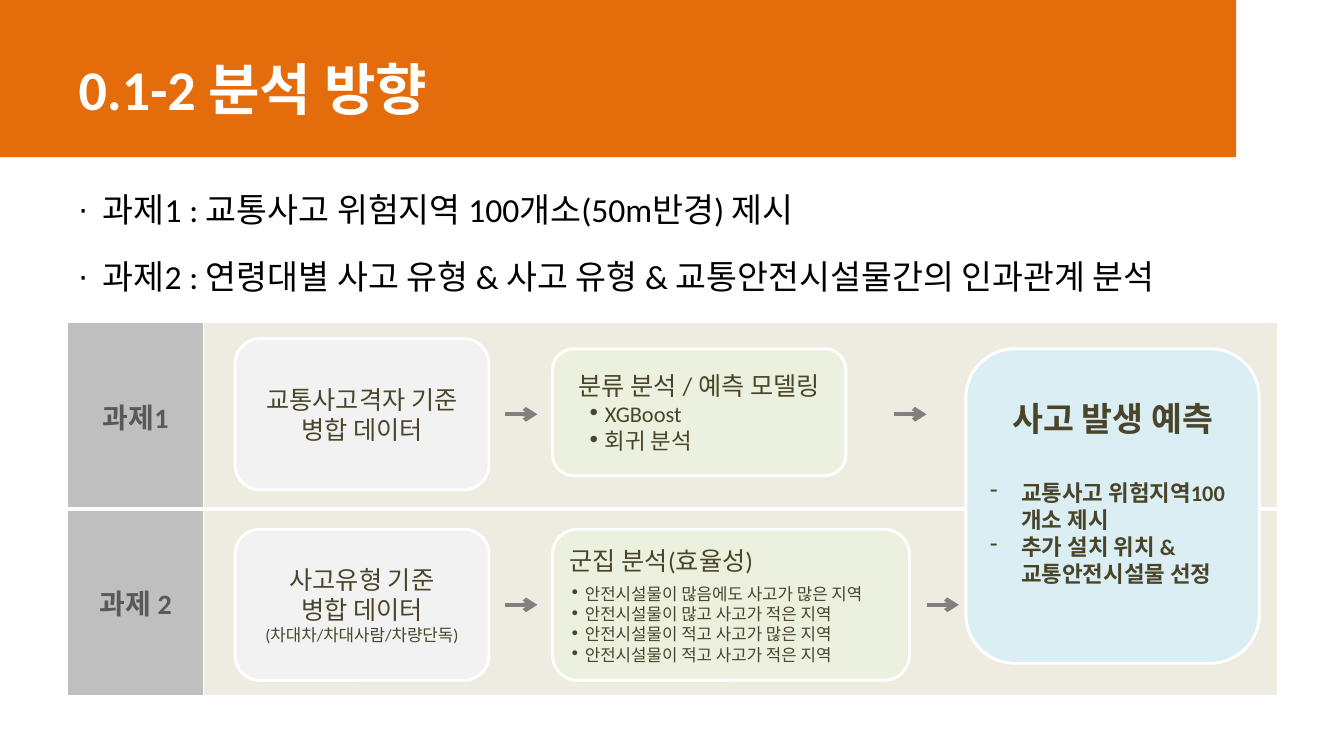
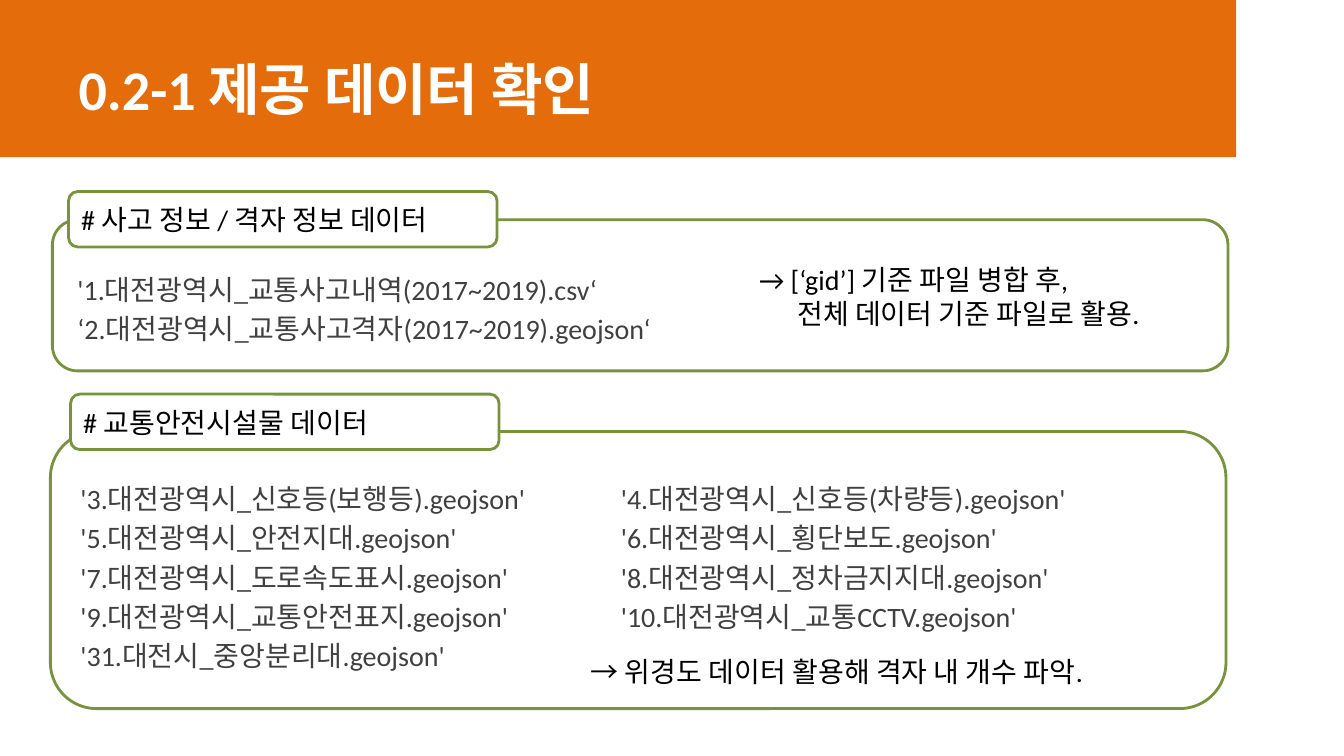
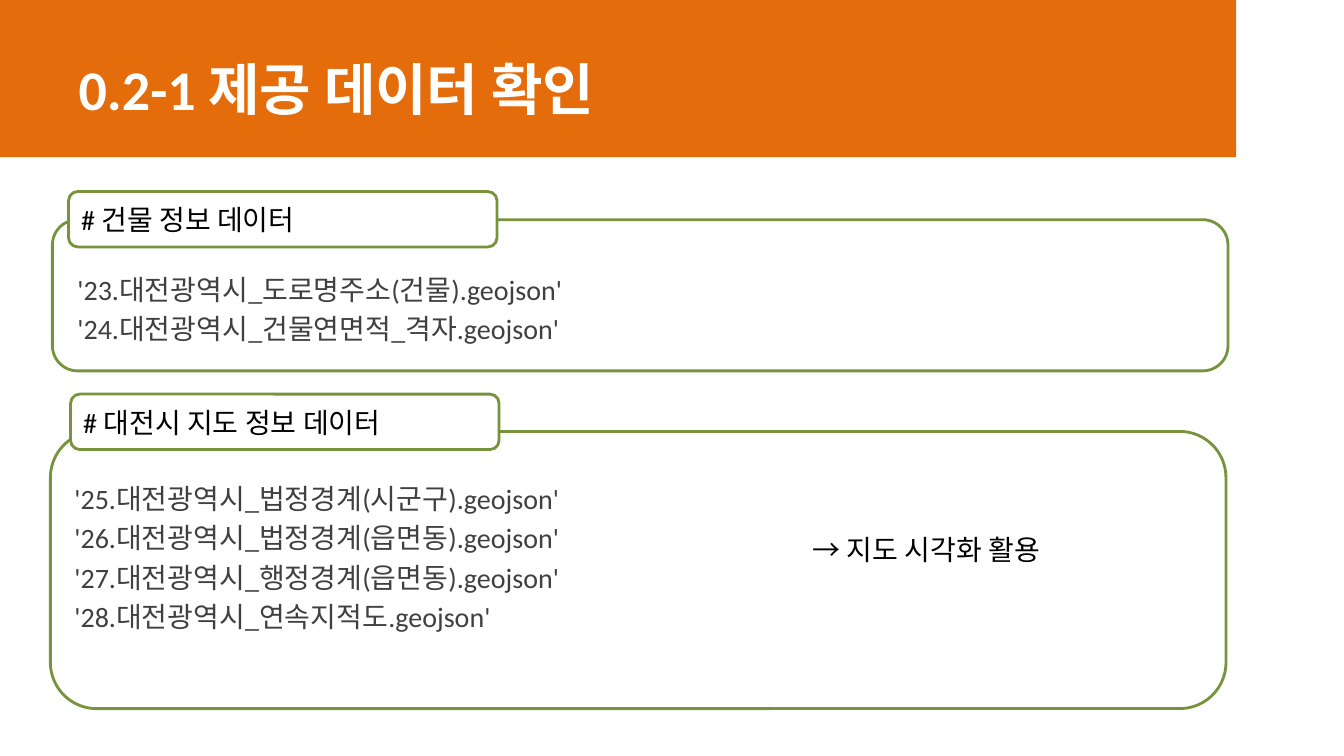
import pptx
import pptx.dml.color
import pptx.enum.shapes
import pptx.enum.text
import pptx.oxml
import pptx.oxml.ns
import pptx.util
from lxml import etree

Inches, Pt = pptx.util.Inches, pptx.util.Pt
SHAPES = pptx.enum.shapes.MSO_SHAPE
ANCHOR = pptx.enum.text.MSO_ANCHOR
ALIGN = pptx.enum.text.PP_ALIGN
rgb = pptx.dml.color.RGBColor.from_string
qn = pptx.oxml.ns.qn

ORANGE, GREEN, WHITE, BLACK = "E46C0A", "77933C", "FFFFFF", "000000"
BROWN, DARK_GRAY, GRAY = "4A452A", "404040", "808080"
FONT = "Calibri"


def add_box(slide, at, fill, line=None, kind=SHAPES.ROUNDED_RECTANGLE):
    shape = slide.shapes.add_shape(kind, *map(Inches, at))
    shape.shadow.inherit = False
    shape.fill.solid()
    shape.fill.fore_color.rgb = rgb(fill)
    if line:
        shape.line.color.rgb = rgb(line)
        shape.line.width = Pt(2)
    else:
        shape.line.fill.background()
    return shape


def write(frame, lines, size, color, anchor=ANCHOR.MIDDLE, align=ALIGN.LEFT, bold=False, before=0, spacing=None):
    """Fill a text frame; each line is a text, or a text with its own settings."""
    frame.word_wrap = True
    frame.auto_size = pptx.enum.text.MSO_AUTO_SIZE.NONE
    frame.vertical_anchor = anchor
    for number, line in enumerate(lines):
        text, own = (line, {}) if isinstance(line, str) else line
        paragraph = frame.add_paragraph() if number else frame.paragraphs[0]
        paragraph.text = text
        paragraph.alignment = own.get("align", align)
        paragraph.space_before = Pt(own.get("before", before) if number else 0)
        if spacing:
            paragraph.line_spacing = spacing
        properties = paragraph._p.get_or_add_pPr()
        if "left" in own:
            properties.set("marL", str(Inches(own["left"])))
            properties.set("indent", str(-Inches(own["hang"])))
        if "bullet" in own:
            etree.SubElement(properties, qn("a:buChar")).set("char", own["bullet"])
        if "tab" in own:
            stop = etree.SubElement(etree.SubElement(properties, qn("a:tabLst")), qn("a:tab"))
            stop.set("pos", str(Inches(own["tab"])))
            stop.set("algn", "l")
        paragraph.font.name = FONT
        paragraph.font.size = Pt(own.get("size", size))
        paragraph.font.bold = bold
        paragraph.font.color.rgb = rgb(color)


presentation = pptx.Presentation()
presentation.slide_width, presentation.slide_height = Inches(13.33), Inches(7.5)

# Slides with their titles
slides = []
for layout, title in [(1, "0.1-2 분석 방향"), (5, "0.2-1 제공 데이터 확인"), (5, "0.2-1 제공 데이터 확인")]:
    slide = presentation.slides.add_slide(presentation.slide_layouts[layout])
    heading = slide.shapes.title
    heading.left, heading.top, heading.width, heading.height = map(Inches, (0.68, 0.44, 9.01, 0.87))
    write(heading.text_frame, [title], 40, WHITE, bold=True)
    slides.append(slide)

# Orange band, kept on the master behind all titles
band = add_box(slides[0], (0, 0, 12.26, 1.56), ORANGE, kind=SHAPES.RECTANGLE)
band.element.nvSpPr.cNvPr.set("id", "20")
presentation.slide_master.shapes.element.insert(2, band.element)

# Slide 1: task list
slide = slides[0]
body = slide.placeholders[1]
body.left, body.top, body.width, body.height = map(Inches, (0.67, 1.62, 12, 5.28))
task_bullet = {"bullet": "·", "left": 0.25, "hang": 0.25}
write(body.text_frame, [
    ("과제1 : 교통사고 위험지역 100개소(50m반경) 제시", task_bullet),
    ("과제2 : 연령대별 사고 유형 & 사고 유형 & 교통안전시설물간의 인과관계 분석", task_bullet),
], 24, BLACK, anchor=ANCHOR.TOP, before=4.8, spacing=1.5)

# Slide 1: one table row per task
table = slide.shapes.add_table(2, 2, *map(Inches, (0.67, 3.2, 12, 3.7))).table
table.horz_banding = False
table.columns[0].width, table.columns[1].width = Inches(1.35), Inches(10.65)
for row, task in enumerate(["과제1", "과제 2"]):
    for column, fill in enumerate(["BFBFBF", "EEECE1"]):
        cell = table.cell(row, column)
        cell.fill.solid()
        cell.fill.fore_color.rgb = rgb(fill)
        widths = {"lnL": 1, "lnR": 1, "lnT": 1 if row == 0 else 3, "lnB": 3 if row == 0 else 1}
        for position, (side, width) in enumerate(widths.items()):
            cell._tc.tcPr.insert(position, pptx.oxml.parse_xml(
                f'<a:{side} {pptx.oxml.ns.nsdecls("a")} w="{Pt(width)}"><a:solidFill>'
                f'<a:srgbClr val="{WHITE}"/></a:solidFill></a:{side}>'))
    label = table.cell(row, 0)
    label.vertical_anchor = ANCHOR.MIDDLE
    paragraph = label.text_frame.paragraphs[0]
    paragraph.text = task
    paragraph.alignment = ALIGN.CENTER
    paragraph.font.name, paragraph.font.size, paragraph.font.bold = FONT, Pt(20), True
    paragraph.font.color.rgb = rgb("595959")

# Slide 1: data and analysis boxes
centered = {"align": ALIGN.CENTER}
method = {"bullet": "∙", "left": 0.36, "hang": 0.18, "size": 16}
cluster = {"bullet": "∙", "left": 0.15, "hang": 0.15, "size": 12}
steps = [
    ((2.33, 3.36, 2.52, 1.5), "F2F2F2", [("교통사고격자 기준 병합 데이터", centered)]),
    ((2.33, 5.25, 2.52, 1.5), "F2F2F2", [
        ("사고유형 기준", centered),
        ("병합 데이터", centered),
        ("(차대차/차대사람/차량단독)", {**centered, "size": 12})]),
    ((5.48, 3.46, 2.91, 1.26), "EBF1DE", [
        ("분류 분석 / 예측 모델링", centered),
        ("XGBoost", method),
        ("회귀 분석", method)]),
    ((5.48, 5.25, 3.54, 1.5), "EBF1DE", [
        "군집 분석(효율성)",
        ("안전시설물이 많음에도 사고가 많은 지역", {**cluster, "before": 6}),
        ("안전시설물이 많고 사고가 적은 지역", cluster),
        ("안전시설물이 적고 사고가 많은 지역", cluster),
        ("안전시설물이 적고 사고가 적은 지역", cluster)]),
]
for at, fill, lines in steps:
    write(add_box(slide, at, fill, WHITE).text_frame, lines, 18, BROWN)

# Slide 1: result box
result = add_box(slide, (9.58, 3.46, 2.91, 3.12), "DBEEF4", WHITE)
result.text_frame.margin_bottom = Inches(0.32)
dash = {"bullet": "-", "left": 0.31, "hang": 0.31, "size": 16}
write(result.text_frame, [
    ("사고 발생 예측", centered),
    ("교통사고 위험지역100개소 제시", {**dash, "before": 29}),
    ("추가 설치 위치 &\v교통안전시설물 선정", dash),
], 24, BROWN, bold=True)

# Slide 1: arrows between the steps
for left, middle in [(5.01, 4.11), (5.01, 6), (8.87, 4.11), (9.19, 6)]:
    arrow = slide.shapes.add_connector(
        pptx.enum.shapes.MSO_CONNECTOR.STRAIGHT, *map(Inches, (left, middle, left + 0.32, middle)))
    arrow.line.color.rgb = rgb(GRAY)
    arrow.line.width = Pt(3)
    etree.SubElement(arrow.line._get_or_add_ln(), qn("a:tailEnd")).set("type", "arrow")
    etree.SubElement(arrow.element.spPr, qn("a:effectLst"))

# Slides 2 and 3: upper and lower panel, each with a tab label and a file list
PANELS = [((0.52, 2.18, 11.66, 1.5), (0.68, 1.9, 4.25, 0.55)),
          ((0.5, 4.28, 11.66, 2.75), (0.7, 3.91, 4.25, 0.55))]
two_columns = {"tab": 5.36}
contents = [
    [("# 사고 정보 / 격자 정보 데이터", (0.67, 2.65, 10.76, 0.87), [
        "'1.대전광역시_교통사고내역(2017~2019).csv‘",
        "‘2.대전광역시_교통사고격자(2017~2019).geojson‘"]),
     ("# 교통안전시설물 데이터", (0.7, 4.73, 11.2, 2.13), [
         ("'3.대전광역시_신호등(보행등).geojson'\t'4.대전광역시_신호등(차량등).geojson'", two_columns),
         ("'5.대전광역시_안전지대.geojson'\t'6.대전광역시_횡단보도.geojson'", two_columns),
         ("'7.대전광역시_도로속도표시.geojson'\t'8.대전광역시_정차금지지대.geojson'", two_columns),
         ("'9.대전광역시_교통안전표지.geojson'\t'10.대전광역시_교통CCTV.geojson'", two_columns),
         "'31.대전시_중앙분리대.geojson'"])],
    [("# 건물 정보 데이터", (0.67, 2.65, 10.76, 0.87), [
        "'23.대전광역시_도로명주소(건물).geojson'",
        "'24.대전광역시_건물연면적_격자.geojson'"]),
     ("# 대전시 지도 정보 데이터", (0.64, 4.73, 11.26, 2.13), [
         "'25.대전광역시_법정경계(시군구).geojson'",
         "'26.대전광역시_법정경계(읍면동).geojson'",
         "'27.대전광역시_행정경계(읍면동).geojson'",
         "'28.대전광역시_연속지적도.geojson'"])],
]
for slide, panels in zip(slides[1:], contents):
    for (panel_at, label_at), (label, files_at, files) in zip(PANELS, panels):
        add_box(slide, panel_at, WHITE, GREEN)
        write(add_box(slide, label_at, WHITE, GREEN).text_frame, [label], 20, BLACK)
        file_list = slide.shapes.add_textbox(*map(Inches, files_at))
        write(file_list.text_frame, files, 20, DARK_GRAY, anchor=ANCHOR.TOP, before=4)

# Slides 2 and 3: remarks on how the data are used
remarks = [
    (slides[1], (7.43, 2.52, 4.37, 0.84),
     ("→ [‘gid’] 기준 파일 병합 후,\v전체 데이터 기준 파일로 활용.", {"left": 0.38, "hang": 0.38})),
    (slides[1], (5.76, 6.34, 5.51, 0.64), "→ 위경도 데이터 활용해 격자 내 개수 파악."),
    (slides[2], (7.96, 5.13, 2.74, 0.64), "→ 지도 시각화 활용"),
]
for slide, at, remark in remarks:
    write(slide.shapes.add_textbox(*map(Inches, at)).text_frame, [remark], 20, BLACK)

presentation.save("out.pptx")
